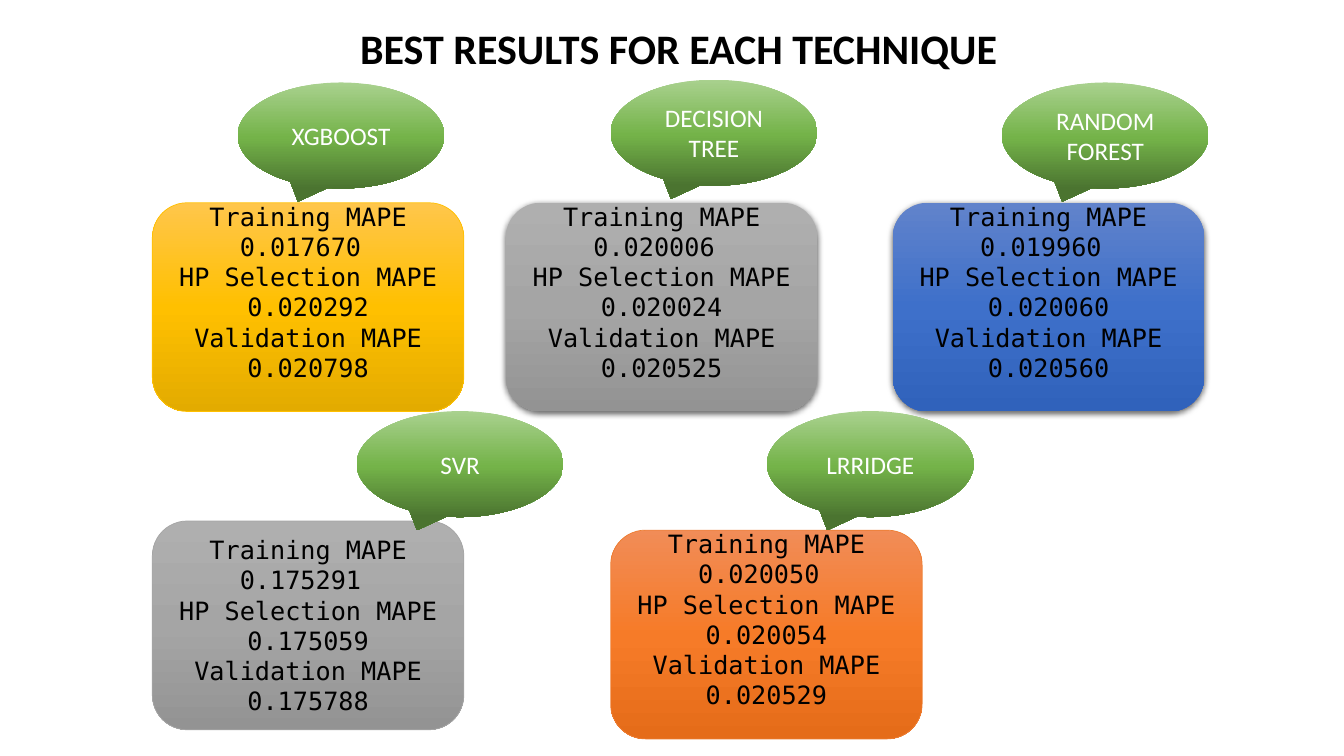
"""Build a slide comparing the best MAPE results of five techniques."""
from copy import deepcopy
from dataclasses import dataclass

from lxml import etree
from pptx import Presentation
from pptx.dml.color import RGBColor
from pptx.enum.shapes import MSO_SHAPE
from pptx.enum.text import MSO_ANCHOR, MSO_AUTO_SIZE, PP_ALIGN
from pptx.oxml.ns import qn
from pptx.util import Cm, Pt

ROUNDED = MSO_SHAPE.ROUNDED_RECTANGLE
CALLOUT = MSO_SHAPE.OVAL_CALLOUT
MIDDLE = MSO_ANCHOR.MIDDLE
CENTER = PP_ALIGN.CENTER
NO_FIT = MSO_AUTO_SIZE.NONE


@dataclass(frozen=True)
class Theme:
    heading_font: str = "Calibri"
    result_font: str = "DejaVu Sans Mono"
    title_size: int = 30
    text_size: int = 18
    dark: str = "000000"
    light: str = "FFFFFF"
    green: tuple = ("A9D18E", "74B349", "4B7430")
    gold: tuple = ("FFC64B", "FFC000", "E3AB00")
    gray: tuple = ("AFAFAF", "A5A5A5", "939393")
    blue: tuple = ("6183CB", "3E70CA", "3062BB")
    orange: tuple = ("F18C57", "F67B28", "E56C19")
    gold_line: str = "FFC000"
    gray_line: str = "A5A5A5"
    orange_line: str = "ED7D31"


theme = Theme()


def add_gradient_shape(kind, left, top, width, height, colors, middle_stop):
    shape = page.shapes.add_shape(kind, Cm(left), Cm(top), Cm(width), Cm(height))
    shape.shadow.inherit = False
    shape.line.fill.background()
    shape.fill.gradient()
    shape.fill.gradient_angle = 270
    stop_list = shape._element.spPr.find(qn("a:gradFill")).find(qn("a:gsLst"))
    stop_list.insert(1, deepcopy(stop_list[0]))
    for stop, color, position in zip(shape.fill.gradient_stops, colors, (0, middle_stop, 1)):
        stop.color.rgb = RGBColor.from_string(color)
        stop.position = position
    shape.text_frame.word_wrap = True
    shape.text_frame.vertical_anchor = MIDDLE
    return shape


def format_paragraph(para, font_name, size, color, bold=False):
    para.alignment = CENTER
    para.font.name = font_name
    para.font.size = Pt(size)
    para.font.bold = bold
    para.font.color.rgb = RGBColor.from_string(color)


deck = Presentation()
deck.slide_width, deck.slide_height = Cm(33.87), Cm(19.05)
page = deck.slides.add_slide(deck.slide_layouts[5])

title = page.shapes.title
title.left, title.top, title.width, title.height = Cm(3.84), Cm(0.43), Cm(26.54), Cm(1.55)
title.text_frame.text = "BEST RESULTS FOR EACH TECHNIQUE"
title.text_frame.auto_size = NO_FIT
format_paragraph(title.text_frame.paragraphs[0], theme.heading_font, theme.title_size, theme.dark, True)

raised, centered = 0.9, 0.13
techniques = [
    ("XGBOOST", (5.99, 2.08), (3.84, 5.11), theme.gold, theme.gold_line, raised,
     ("0.017670", "0.020292", "0.020798")),
    ("DECISION TREE", (15.39, 2.01), (12.75, 5.11), theme.gray, None, raised,
     ("0.020006", "0.020024", "0.020525")),
    ("RANDOM FOREST", (25.25, 2.08), (22.5, 5.11), theme.blue, None, raised,
     ("0.019960", "0.020060", "0.020560")),
    ("SVR", (8.99, 10.36), (3.84, 13.13), theme.gray, theme.gray_line, centered,
     ("0.175291", "0.175059", "0.175788")),
    ("LRRIDGE", (19.33, 10.36), (15.39, 13.36), theme.orange, theme.orange_line, raised,
     ("0.020050", "0.020054", "0.020529")),
]

for name, callout_at, box_at, colors, line_color, bottom_inset, scores in techniques:
    training, selection, validation = scores
    box = add_gradient_shape(ROUNDED, *box_at, 7.85, 5.26, colors, 0.5)
    if line_color:
        box.line.color.rgb = RGBColor.from_string(line_color)
        box.line.width = Pt(0.5)
    else:
        effects = box._element.spPr.find(qn("a:effectLst"))
        shadow = etree.SubElement(effects, qn("a:outerShdw"), blurRad=str(Pt(4.5)),
                                  dist=str(Pt(1.5)), dir="5400000", algn="ctr", rotWithShape="0")
        shade = etree.SubElement(shadow, qn("a:srgbClr"), val=theme.dark)
        etree.SubElement(shade, qn("a:alpha"), val="63000")
    box.text_frame.margin_bottom = Cm(bottom_inset)
    box.text_frame.text = "\n".join([
        f"Training MAPE {training} ",
        "HP Selection MAPE",
        selection,
        f"Validation MAPE {validation}",
    ])
    for para in box.text_frame.paragraphs:
        format_paragraph(para, theme.result_font, theme.text_size, theme.dark)

    callout = add_gradient_shape(CALLOUT, *callout_at, 5.21, 2.67, theme.green, 0.52)
    callout.text_frame.text = name
    format_paragraph(callout.text_frame.paragraphs[0], theme.heading_font, theme.text_size, theme.light)

deck.save("out.pptx")
